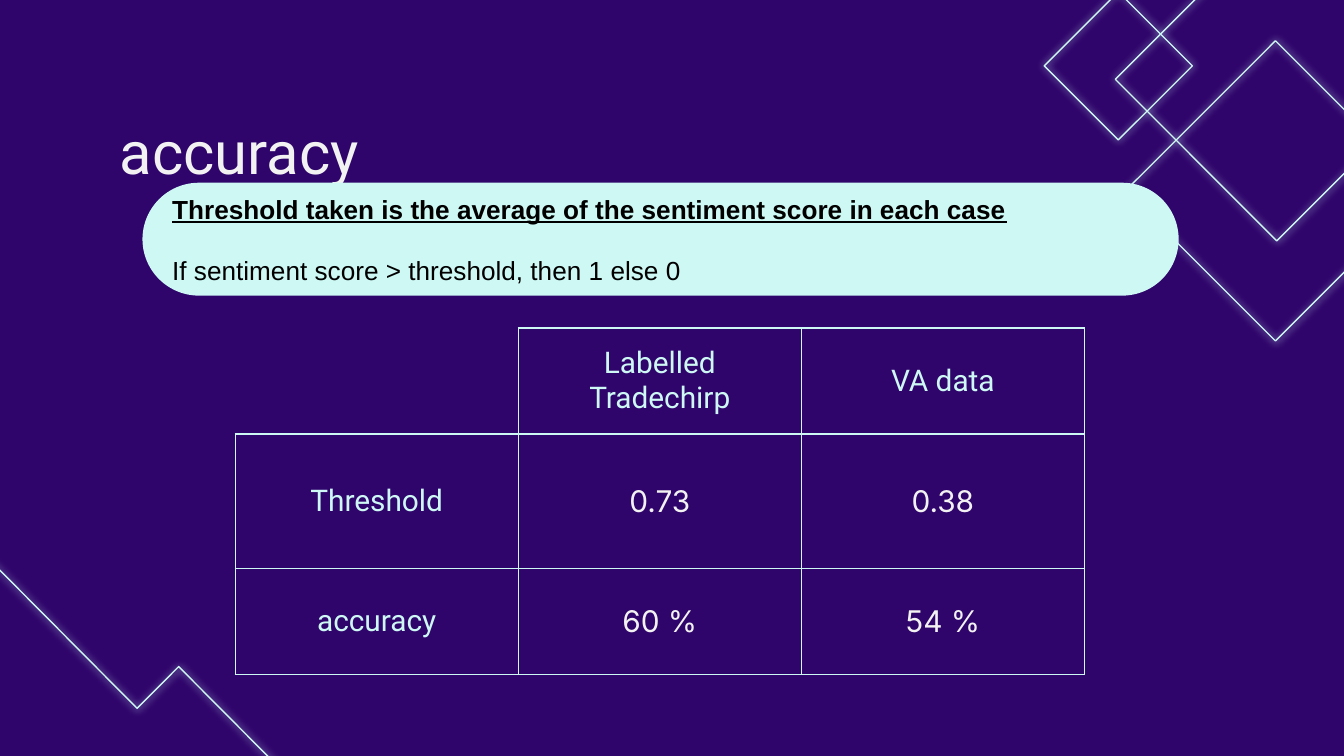
from lxml import etree
from pptx import Presentation
from pptx.dml.color import RGBColor
from pptx.enum import shapes, text
from pptx.oxml import ns
from pptx.util import Inches, Pt

NIGHT = RGBColor(0x2F, 0x04, 0x6B)
MINT = RGBColor(0xCD, 0xF8, 0xF4)
PALE = RGBColor(0xF2, 0xF2, 0xF2)
BLACK = RGBColor(0, 0, 0)
MID = text.MSO_ANCHOR.MIDDLE

HEAD = {"name": "Roboto", "size": Pt(16), "color": MINT}
DATA = {"name": "Inter", "size": Pt(16), "color": PALE}
NOTE = {"name": "Arial", "size": Pt(14), "color": BLACK}


def style(font, form):
    for key, val in form.items():
        if key == "color":
            font.color.rgb = val
        else:
            setattr(font, key, val)


def pad(frame):
    for side in ("left", "top", "right", "bottom"):
        setattr(frame, "margin_" + side, Inches(0.1))


def glow(shape):
    """Mint outline with a soft halo and no fill."""
    shape.fill.background()
    shape.line.color.rgb = MINT
    shape.line.width = Pt(0.75)
    shape.shadow.inherit = False
    effects = shape.element.spPr.find(ns.qn("a:effectLst"))
    halo = etree.SubElement(effects, ns.qn("a:outerShdw"),
                            blurRad=str(Pt(4.5)), dist="0", dir="0")
    etree.SubElement(halo, ns.qn("a:srgbClr"), val=str(MINT))


def zigzag(slide, left, top):
    steps = [(1.59, 1.6), (1.9, 1.29), (3.65, 3.05)]
    path = slide.shapes.build_freeform(Inches(left), Inches(top))
    path.add_line_segments([(Inches(left + x), Inches(top + y))
                            for x, y in steps], close=False)
    glow(path.convert_to_shape())


def diamonds(slide, left, top):
    group = slide.shapes.add_group_shape()
    for x, y, side in [(0.72, 0, 1.7), (0, 0.36, 0.78), (0.77, 0.89, 1.58)]:
        square = group.shapes.add_shape(
            shapes.MSO_SHAPE.RECTANGLE, Inches(left + x), Inches(top + y),
            Inches(side), Inches(side))
        square.rotation = 135
        glow(square)


def title(slide, words, *box):
    head = slide.shapes.title
    slide.shapes.element.append(head.element)  # in front of the decoration
    head.left, head.top, head.width, head.height = map(Inches, box)
    frame = head.text_frame
    frame.text = words
    frame.auto_size = text.MSO_AUTO_SIZE.NONE
    frame.vertical_anchor = text.MSO_ANCHOR.TOP
    pad(frame)
    para = frame.paragraphs[0]
    para.alignment = text.PP_ALIGN.LEFT
    para.line_spacing = 1.5
    para.space_before = Pt(0)
    style(para.font, {"name": "Roboto", "size": Pt(32), "color": PALE})


def border(cell, shown):
    props = cell._tc.get_or_add_tcPr()
    for spot, side in enumerate("LRTB"):
        line = etree.Element(ns.qn("a:ln" + side), w=str(Pt(0.75)))
        if side in shown:
            fill = etree.SubElement(line, ns.qn("a:solidFill"))
            etree.SubElement(fill, ns.qn("a:srgbClr"), val=str(MINT))
        else:
            etree.SubElement(line, ns.qn("a:noFill"))
        props.insert(spot, line)


def scores(slide, rows, heights, left, top, width):
    count = len(rows[0])
    grid = slide.shapes.add_table(
        len(rows), count, Inches(left), Inches(top),
        Inches(width), Inches(sum(heights))).table
    grid.first_row = grid.horz_banding = False
    for col in grid.columns:
        col.width = Inches(width / count)
    for r, row in enumerate(rows):
        grid.rows[r].height = Inches(heights[r])
        for c, words in enumerate(row):
            cell = grid.cell(r, c)
            cell.fill.background()
            border(cell, "LRTB" if r or c else "RB")
            cell.vertical_anchor = MID
            pad(cell)
            cell.text = words
            para = cell.text_frame.paragraphs[0]
            para.alignment = text.PP_ALIGN.CENTER
            style(para.font, DATA if r and c else HEAD)


def callout(slide, lead, rule, *box):
    pill = slide.shapes.add_shape(shapes.MSO_SHAPE.ROUNDED_RECTANGLE,
                                  *map(Inches, box))
    pill.adjustments[0] = 0.5
    pill.shadow.inherit = False
    pill.fill.solid()
    pill.fill.fore_color.rgb = MINT
    pill.line.fill.background()
    frame = pill.text_frame
    frame.word_wrap = True
    frame.vertical_anchor = MID
    pad(frame)
    frame.text = lead + "\n" + rule
    for para in frame.paragraphs:
        para.alignment = text.PP_ALIGN.LEFT
        style(para.font, NOTE)
    style(frame.paragraphs[0].font, {"bold": True, "underline": True})
    frame.paragraphs[1].space_before = Pt(16)


def main():
    deck = Presentation()
    deck.slide_width = Inches(10)
    deck.slide_height = deck.slide_width * 9 // 16
    slide = deck.slides.add_slide(deck.slide_layouts[5])
    slide.background.fill.solid()
    slide.background.fill.fore_color.rgb = NIGHT

    # Corner decoration
    zigzag(slide, -0.57, 3.67)
    diamonds(slide, 7.93, -0.26)

    # Content
    title(slide, "accuracy", 0.79, 0.49, 8.43, 0.63)
    rows = [["", "Labelled Tradechirp", "VA data"],
            ["Threshold", "0.73", "0.38"],
            ["accuracy", "60 %", "54 %"]]
    scores(slide, rows, [0.79, 1, 0.79], 1.75, 2.44, 6.32)
    callout(slide,
            "Threshold taken is the average of the sentiment score in each case",
            "If sentiment score > threshold, then 1 else 0",
            1.06, 1.36, 7.71, 0.84)
    deck.save("out.pptx")


if __name__ == "__main__":
    main()
